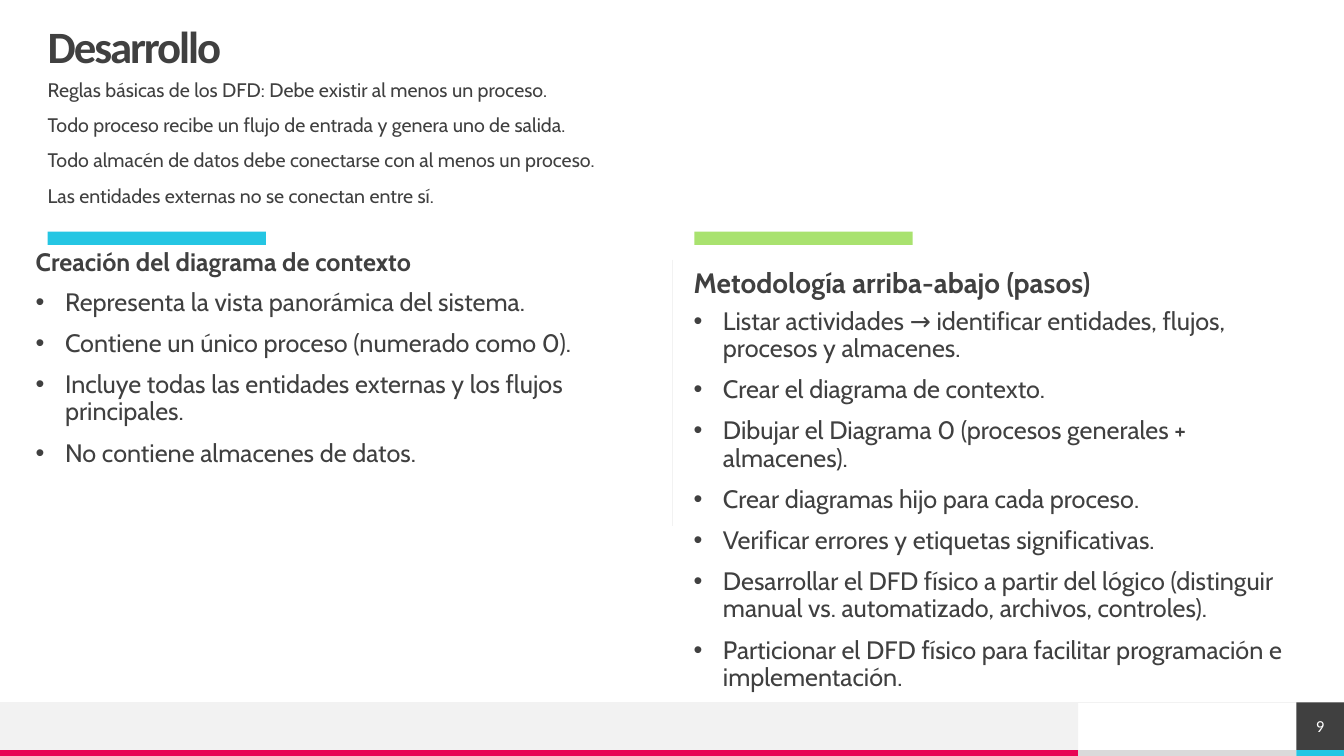
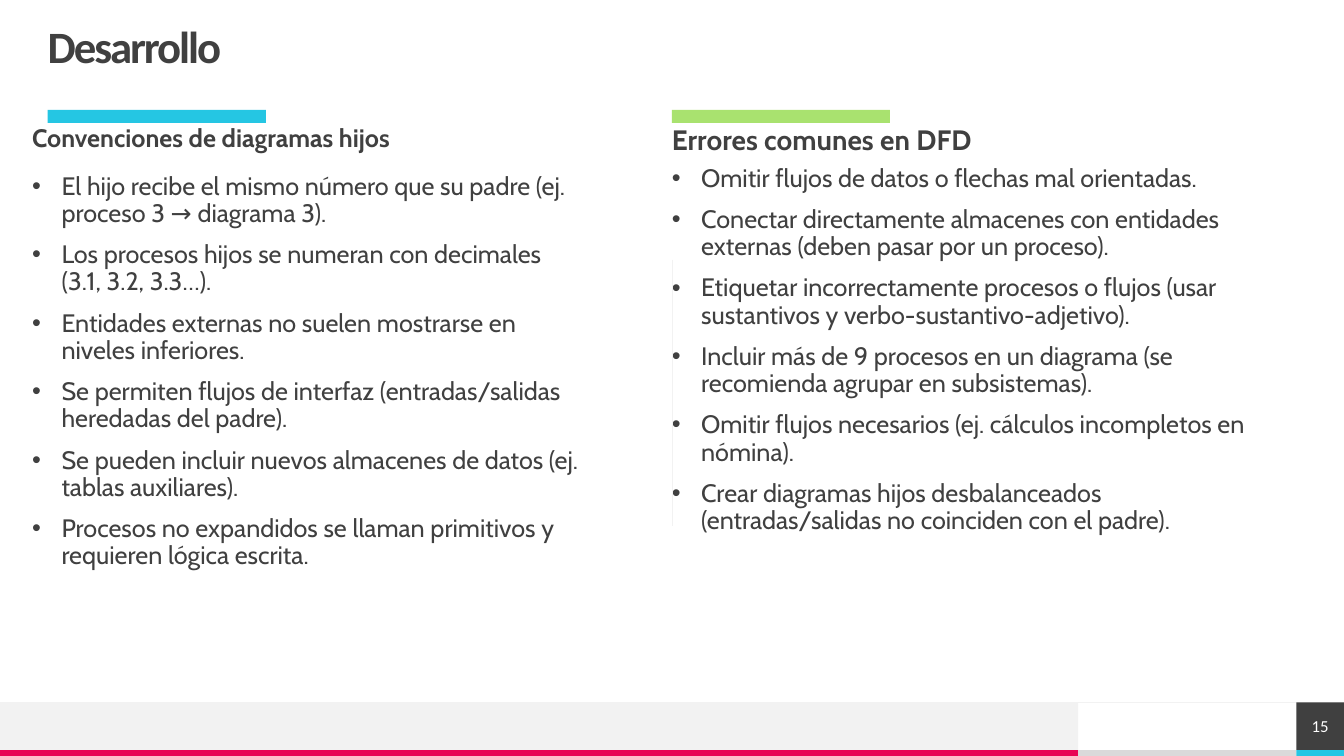
import pptx
import pptx.dml.color
import pptx.enum.shapes
import pptx.enum.text
import pptx.oxml
import pptx.oxml.ns
import pptx.util
from lxml import etree

Cm = pptx.util.Cm
Pt = pptx.util.Pt
ALIGN = pptx.enum.text.PP_ALIGN
ANCHOR = pptx.enum.text.MSO_ANCHOR

COLORS = {
    "text": "404040", "white": "FFFFFF", "band": "F2F2F2", "grey": "DADADA",
    "cyan": "25C6E3", "green": "A9E26F", "magenta": "E80554",
}
HEAD_FONT, BODY_FONT = "Calibri", "Cabin"

# Shared measures, in centimetres
SLIDE_W, SLIDE_H = 33.87, 19.05
MARGIN = 1.2
CONTENT_W = 31.5
FOOTER_TOP, FOOTER_H, STRIPE_H = 17.7, 1.2, 0.15
FOOTER_GAP_W = 5.5
ACCENT_W, ACCENT_H = 5.5, 0.33
HEADING_W, HEADING_H = 15.19, 1
BULLET_INDENT = 0.74


def rgb(name):
    return pptx.dml.color.RGBColor.from_string(COLORS[name])


# Building blocks
def add_bar(slide, left, top, width, height, color):
    bar = slide.shapes.add_shape(pptx.enum.shapes.MSO_SHAPE.RECTANGLE,
                                 Cm(left), Cm(top), Cm(width), Cm(height))
    bar.shadow.inherit = False
    bar.fill.solid()
    bar.fill.fore_color.rgb = rgb(color)
    bar.line.fill.background()
    return bar


def add_rule(slide, x1, y1, x2, y2):
    rule = slide.shapes.add_connector(pptx.enum.shapes.MSO_CONNECTOR.STRAIGHT,
                                      Cm(x1), Cm(y1), Cm(x2), Cm(y2))
    rule.line.color.rgb = rgb("band")
    rule.line.width = Pt(0.5)
    etree.SubElement(rule._element.spPr, pptx.oxml.ns.qn("a:effectLst"))


def place(shape, left, top, width, height):
    shape.left, shape.top = Cm(left), Cm(top)
    shape.width, shape.height = Cm(width), Cm(height)


def set_frame(frame, anchor=ANCHOR.TOP):
    frame.word_wrap = True
    frame.auto_size = pptx.enum.text.MSO_AUTO_SIZE.NONE
    frame.vertical_anchor = anchor
    frame.margin_left = frame.margin_top = frame.margin_right = frame.margin_bottom = 0


def add_run(paragraph, text, size, font=BODY_FONT, color="text", bold=False, spacing=0):
    run = paragraph.add_run()
    run.text = text
    run.font.size = Pt(size)
    run.font.name = font
    run.font.bold = bold
    run.font.color.rgb = rgb(color)
    if spacing:
        run._r.get_or_add_rPr().set("spc", str(round(spacing * 100)))


def set_bullet(paragraph):
    props = paragraph._p.get_or_add_pPr()
    props.set("marL", str(Cm(BULLET_INDENT)))
    props.set("indent", str(-Cm(BULLET_INDENT)))
    bullet_font = etree.SubElement(props, pptx.oxml.ns.qn("a:buFont"))
    bullet_font.set("typeface", "Arial")
    etree.SubElement(props, pptx.oxml.ns.qn("a:buChar")).set("char", "•")


def fill_text(frame, lines, size, bold=False, bullets=False):
    set_frame(frame)
    for i, line in enumerate(lines):
        paragraph = frame.paragraphs[0] if i == 0 else frame.add_paragraph()
        paragraph.alignment = ALIGN.LEFT
        paragraph.line_spacing = 0.9
        paragraph.space_before = Pt(10)
        if bullets:
            set_bullet(paragraph)
        add_run(paragraph, line, size, bold=bold)


# Regions
def add_title(slide, text):
    title = slide.shapes.title
    place(title, MARGIN, 0.64, CONTENT_W, 1.2)
    set_frame(title.text_frame, ANCHOR.MIDDLE)
    paragraph = title.text_frame.paragraphs[0]
    paragraph.alignment = ALIGN.LEFT
    paragraph.line_spacing = 0.9
    add_run(paragraph, text, 32, HEAD_FONT, bold=True, spacing=-1.5)


def add_footer(slide, top, number):
    number_left = SLIDE_W - FOOTER_H
    gap_left = number_left - FOOTER_GAP_W
    stripe_top = top + FOOTER_H
    add_bar(slide, 0, top, gap_left, FOOTER_H, "band")
    for left, width, color in ((0, gap_left, "magenta"), (gap_left, FOOTER_GAP_W, "grey"),
                               (number_left, FOOTER_H, "cyan")):
        add_bar(slide, left, stripe_top, width, STRIPE_H, color)
    add_rule(slide, SLIDE_W, top, 0, top)
    page = add_bar(slide, number_left, top, FOOTER_H, FOOTER_H, "text")
    set_frame(page.text_frame, ANCHOR.MIDDLE)
    paragraph = page.text_frame.paragraphs[0]
    paragraph.alignment = ALIGN.CENTER
    add_run(paragraph, str(number), 12, HEAD_FONT, "white")


def add_intro(slide, lines):
    intro = slide.shapes.add_textbox(Cm(MARGIN), Cm(2.03), Cm(CONTENT_W), Cm(1))
    fill_text(intro.text_frame, lines, 14)


def add_column(slide, first_idx, column, accent_top):
    """Accent bar, heading and list; vertical offsets count from the bar."""
    add_bar(slide, column["accent_left"], accent_top, ACCENT_W, ACCENT_H, column["color"])
    heading, points = (slide.placeholders[first_idx + i] for i in range(2))
    left = column["left"]
    place(heading, left, accent_top + column["heading_dy"], HEADING_W, HEADING_H)
    fill_text(heading.text_frame, [column["heading"]], column["heading_size"], bold=True)
    list_w, list_h = column["list_size"]
    place(points, left, accent_top + column["list_dy"], list_w, list_h)
    fill_text(points.text_frame, column["points"], 18, bullets=True)


def add_comparison_slide(deck, content):
    slide = deck.slides.add_slide(deck.slide_layouts[4])
    add_footer(slide, FOOTER_TOP, content["number"])
    add_rule(slide, SLIDE_W / 2, 6.55, SLIDE_W / 2, 13.26)
    add_title(slide, "Desarrollo")
    if content["intro"]:
        add_intro(slide, content["intro"])
    for first_idx, side, style in ((1, "left", LEFT_STYLE), (3, "right", RIGHT_STYLE)):
        add_column(slide, first_idx, {**style, **content[side]}, content["accent_top"])


# Content
LEFT_STYLE = {"color": "cyan", "heading_size": 18, "accent_left": MARGIN}
RIGHT_STYLE = {"color": "green", "heading_size": 20, "list_size": (15.19, 9.9)}

SLIDES = [
    {
        "number": 9,
        "accent_top": 5.84,
        "intro": [
            "Reglas básicas de los DFD: Debe existir al menos un proceso.",
            "Todo proceso recibe un flujo de entrada y genera uno de salida.",
            "Todo almacén de datos debe conectarse con al menos un proceso.",
            "Las entidades externas no se conectan entre sí.",
        ],
        "left": {
            "left": 0.9, "heading_dy": 0.46, "list_dy": 1.45, "list_size": (13.92, 4.8),
            "heading": "Creación del diagrama de contexto",
            "points": [
                "Representa la vista panorámica del sistema.",
                "Contiene un único proceso (numerado como 0).",
                "Incluye todas las entidades externas y los flujos principales.",
                "No contiene almacenes de datos.",
            ],
        },
        "right": {
            "left": 17.48, "accent_left": 17.5, "heading_dy": 0.94, "list_dy": 1.93,
            "heading": "Metodología arriba-abajo (pasos)",
            "points": [
                "Listar actividades → identificar entidades, flujos, procesos y almacenes.",
                "Crear el diagrama de contexto.",
                "Dibujar el Diagrama 0 (procesos generales + almacenes).",
                "Crear diagramas hijo para cada proceso.",
                "Verificar errores y etiquetas significativas.",
                "Desarrollar el DFD físico a partir del lógico (distinguir manual vs. "
                "automatizado, archivos, controles).",
                "Particionar el DFD físico para facilitar programación e implementación.",
            ],
        },
    },
    {
        "number": 15,
        "accent_top": 2.77,
        "intro": [],
        "left": {
            "left": 0.81, "heading_dy": 0.41, "list_dy": 1.6, "list_size": (13.92, 11.5),
            "heading": "Convenciones de diagramas hijos",
            "points": [
                "El hijo recibe el mismo número que su padre (ej. proceso 3 → diagrama 3).",
                "Los procesos hijos se numeran con decimales (3.1, 3.2, 3.3…).",
                "Entidades externas no suelen mostrarse en niveles inferiores.",
                "Se permiten flujos de interfaz (entradas/salidas heredadas del padre).",
                "Se pueden incluir nuevos almacenes de datos (ej. tablas auxiliares).",
                "Procesos no expandidos se llaman primitivos y requieren lógica escrita.",
            ],
        },
        "right": {
            "left": 16.93, "accent_left": 16.93, "heading_dy": 0.41, "list_dy": 1.4,
            "heading": "Errores comunes en DFD",
            "points": [
                "Omitir flujos de datos o flechas mal orientadas.",
                "Conectar directamente almacenes con entidades externas (deben pasar por "
                "un proceso).",
                "Etiquetar incorrectamente procesos o flujos (usar sustantivos y "
                "verbo-sustantivo-adjetivo).",
                "Incluir más de 9 procesos en un diagrama (se recomienda agrupar en "
                "subsistemas).",
                "Omitir flujos necesarios (ej. cálculos incompletos en nómina).",
                "Crear diagramas hijos desbalanceados (entradas/salidas no coinciden con "
                "el padre).",
            ],
        },
    },
]


def main():
    deck = pptx.Presentation()
    deck.slide_width, deck.slide_height = Cm(SLIDE_W), Cm(SLIDE_H)
    for content in SLIDES:
        add_comparison_slide(deck, content)
    deck.save("out.pptx")


if __name__ == "__main__":
    main()
